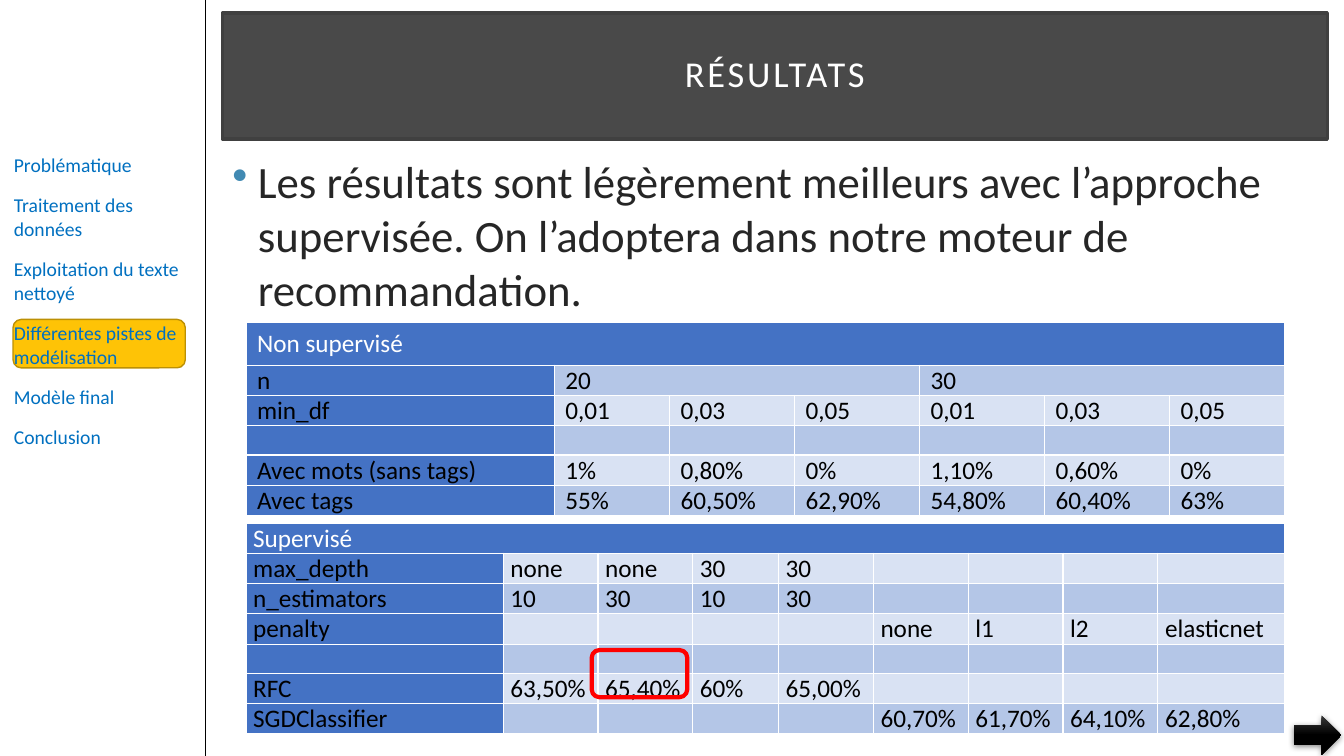
from lxml.etree import SubElement
from pptx import Presentation
from pptx.dml.color import RGBColor
from pptx.enum.shapes import MSO_CONNECTOR, MSO_SHAPE as Preset
from pptx.enum.text import MSO_ANCHOR as Anchor, PP_ALIGN as Align
from pptx.oxml.ns import qn
from pptx.util import Cm, Pt

# Content
TITLE = "RÉSULTATS"
MESSAGE = ("Les résultats sont légèrement meilleurs avec l’approche supervisée. "
           "On l’adoptera dans notre moteur de recommandation.")
CHAPTERS = ["Problématique", "Traitement des données", "Exploitation du texte nettoyé",
            "Différentes pistes de modélisation", "Modèle final", "Conclusion"]

# None continues the cell on its left; "" is an empty cell
UNSUPERVISED = [
    ["Non supervisé"] + [None] * 6,
    ["n", "20", None, None, "30", None, None],
    ["min_df", "0,01", "0,03", "0,05", "0,01", "0,03", "0,05"],
    [""] * 7,
    ["Avec mots (sans tags)", "1%", "0,80%", "0%", "1,10%", "0,60%", "0%"],
    ["Avec tags", "55%", "60,50%", "62,90%", "54,80%", "60,40%", "63%"],
]
NO_VALUES = [""] * 4
SUPERVISED = [
    ["Supervisé"] + [None] * 8,
    ["max_depth", "none", "none", "30", "30", *NO_VALUES],
    ["n_estimators", "10", "30", "10", "30", *NO_VALUES],
    ["penalty", *NO_VALUES, "none", "l1", "l2", "elasticnet"],
    [""] * 9,
    ["RFC", "63,50%", "65,40%", "60%", "65,00%", *NO_VALUES],
    ["SGDClassifier", *NO_VALUES, "60,70%", "61,70%", "64,10%", "62,80%"],
]
# Lengths in cm
RESULTS = [
    dict(rows=UNSUPERVISED, top=8.13, heading=1.07, inset=0.28,
         widths=[7.77, 2.9, 3.15, 3.15, 3.15, 3.15, 2.9]),
    dict(rows=SUPERVISED, top=13.18, heading=0.74, inset=0.18,
         widths=[6.48, 2.39, 2.39, 2.16, 2.39, 2.39, 2.39, 2.39, 3.2]),
]
TABLE_LEFT, ROW_HEIGHT = 6.2, 0.74

THEME = dict(
    font="Calibri", title_size=26, message_size=32, chapter_size=14, table_size=16,
    white="FFFFFF", black="000000", title_fill="0D0D0D", title_line="404040",
    message="262626", bullet="418AB3", chapter="0070C0", current="FEC306",
    current_line="BC9004", header="4472C4", dark_band="B4C6E7", light_band="D9E2F3",
    best="FF0000", arrow_top="393939",
)


def color(name):
    return RGBColor.from_string(THEME[name])


def style(paragraph, size, ink, bold=False):
    font = paragraph.font
    font.name, font.size, font.bold = THEME["font"], Pt(THEME[size]), bold
    font.color.rgb = color(ink)


def box(shapes, preset, place, fill=None, line=None, weight=1):
    shape = shapes.add_shape(preset, *map(Cm, place))
    shape.shadow.inherit = False
    if fill:
        shape.fill.solid()
        shape.fill.fore_color.rgb = color(fill)
    else:
        shape.fill.background()
    if line:
        shape.line.color.rgb, shape.line.width = color(line), Pt(weight)
    else:
        shape.line.fill.background()
    return shape


def text_list(shapes, place, lines, size, ink):
    frame = shapes.add_textbox(*map(Cm, place)).text_frame
    frame.word_wrap = True
    frame.text = "\n".join(lines)
    for paragraph in frame.paragraphs:
        paragraph.space_before = paragraph.space_after = Pt(6)
        style(paragraph, size, ink)
    return frame


def white_borders(cell):
    properties = cell._tc.get_or_add_tcPr()
    for side in ("a:lnL", "a:lnR", "a:lnT", "a:lnB"):
        border = SubElement(properties, qn(side), w=str(Pt(1)))
        SubElement(SubElement(border, qn("a:solidFill")), qn("a:srgbClr"), val=THEME["white"])


def results_table(shapes, rows, top, heading, inset, widths):
    heights = [heading] + [ROW_HEIGHT] * (len(rows) - 1)
    table = shapes.add_table(len(rows), len(widths), Cm(TABLE_LEFT), Cm(top),
                             Cm(sum(widths)), Cm(sum(heights))).table
    for column, width in zip(table.columns, widths):
        column.width = Cm(width)
    for row, height in zip(table.rows, heights):
        row.height = Cm(height)
    for r, values in enumerate(rows):
        band = "dark_band" if (len(rows) - r) % 2 else "light_band"
        for c, value in enumerate(values):
            cell = table.cell(r, c)
            header = r == 0 or c == 0
            white_borders(cell)
            cell.fill.solid()
            cell.fill.fore_color.rgb = color("header" if header else band)
            cell.margin_left = cell.margin_right = Cm(inset)
            cell.margin_top = cell.margin_bottom = 0
            label = c == 0 and r > 0
            cell.vertical_anchor = Anchor.TOP if label else Anchor.MIDDLE
            paragraph = cell.text_frame.paragraphs[0]
            paragraph.alignment = Align.JUSTIFY if label else Align.CENTER
            paragraph.line_spacing = 1.07
            style(paragraph, "table_size", "white" if header else "black", header)
            if value:
                cell.text_frame.text = value
                span = 1
                while c + span < len(values) and values[c + span] is None:
                    span += 1
                if span > 1:
                    cell.merge(table.cell(r, c + span - 1))
            else:
                SubElement(paragraph._p, qn("a:endParaRPr"), sz=str(THEME["table_size"] * 100))


def main():
    deck = Presentation()
    deck.slide_width, deck.slide_height = Cm(33.87), Cm(19.05)
    shapes = deck.slides.add_slide(deck.slide_layouts[6]).shapes

    # Chapter list with the current chapter marked
    box(shapes, Preset.ROUNDED_RECTANGLE, (0.33, 8.05, 4.34, 1.22), "current", "current_line")
    divider = shapes.add_connector(MSO_CONNECTOR.STRAIGHT, Cm(5.18), 0, Cm(5.18), deck.slide_height)
    divider.line.color.rgb, divider.line.width = color("black"), Pt(1)
    SubElement(divider._element.spPr, qn("a:effectLst"))
    text_list(shapes, (0.1, 3.73, 4.9, 7.95), CHAPTERS, "chapter_size", "chapter")

    # Title
    banner = box(shapes, Preset.RECTANGLE, (5.61, 0.33, 27.84, 3.18),
                 "title_fill", "title_line", 2.5)
    tint = banner._element.spPr.find(qn("a:solidFill")).find(qn("a:srgbClr"))
    SubElement(tint, qn("a:alpha"), val="75000")
    banner.text_frame.text = TITLE
    banner.text_frame.vertical_anchor = Anchor.MIDDLE
    heading = banner.text_frame.paragraphs[0]
    heading.alignment, heading.line_spacing = Align.CENTER, 0.9
    style(heading, "title_size", "white")
    heading.runs[0]._r.get_or_add_rPr().set("spc", "200")

    # Result tables
    for result in RESULTS:
        results_table(shapes, **result)

    # Message
    message = text_list(shapes, (5.61, 3.76, 27.84, 14.99), [MESSAGE], "message_size", "message")
    properties = message.paragraphs[0]._p.get_or_add_pPr()
    properties.set("marL", str(Cm(0.64)))
    properties.set("indent", str(-Cm(0.64)))
    defaults = properties.find(qn("a:defRPr"))
    bullet_color = SubElement(properties, qn("a:buClr"))
    SubElement(bullet_color, qn("a:srgbClr"), val=THEME["bullet"])
    bullet = SubElement(properties, qn("a:buChar"), char="•")
    defaults.addprevious(bullet_color)
    defaults.addprevious(bullet)

    # Next arrow
    arrow = box(shapes, Preset.RIGHT_ARROW, (32.61, 18.03, 1.19, 0.99))
    arrow.fill.gradient()
    arrow.fill.gradient_angle = 270
    for stop, ink, position in zip(arrow.fill.gradient_stops, ("arrow_top", "black"), (0, 0.5)):
        stop.color.rgb, stop.position = color(ink), position
    shadow = SubElement(arrow._element.spPr.find(qn("a:effectLst")), qn("a:outerShdw"),
                        blurRad=str(Pt(4.4)), dist=str(Pt(1.2)), dir="5400000")
    shade = SubElement(shadow, qn("a:srgbClr"), val=THEME["black"])
    SubElement(shade, qn("a:alpha"), val="45000")

    # Frame around the best score
    best = box(shapes, Preset.ROUNDED_RECTANGLE, (15.52, 15.77, 1.19, 2.41), line="best", weight=3)
    best.rotation = 90

    deck.save("out.pptx")


if __name__ == "__main__":
    main()
